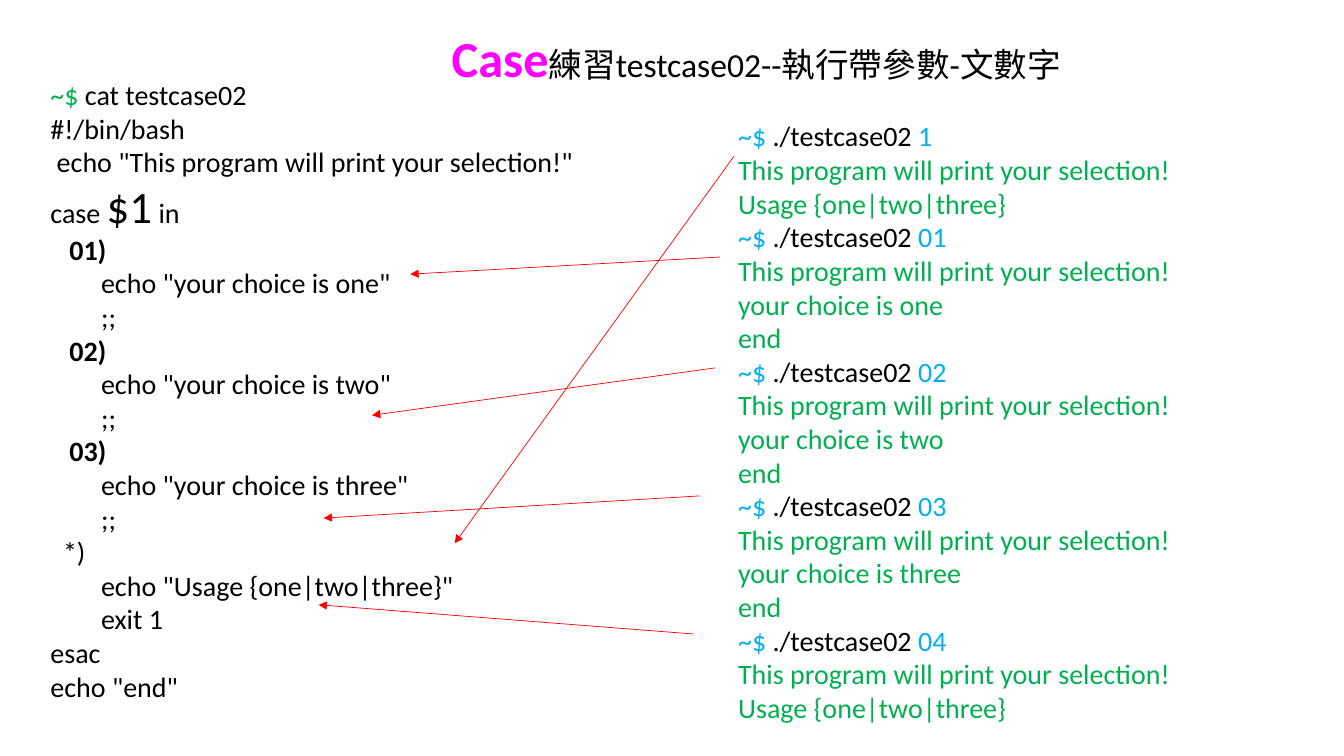
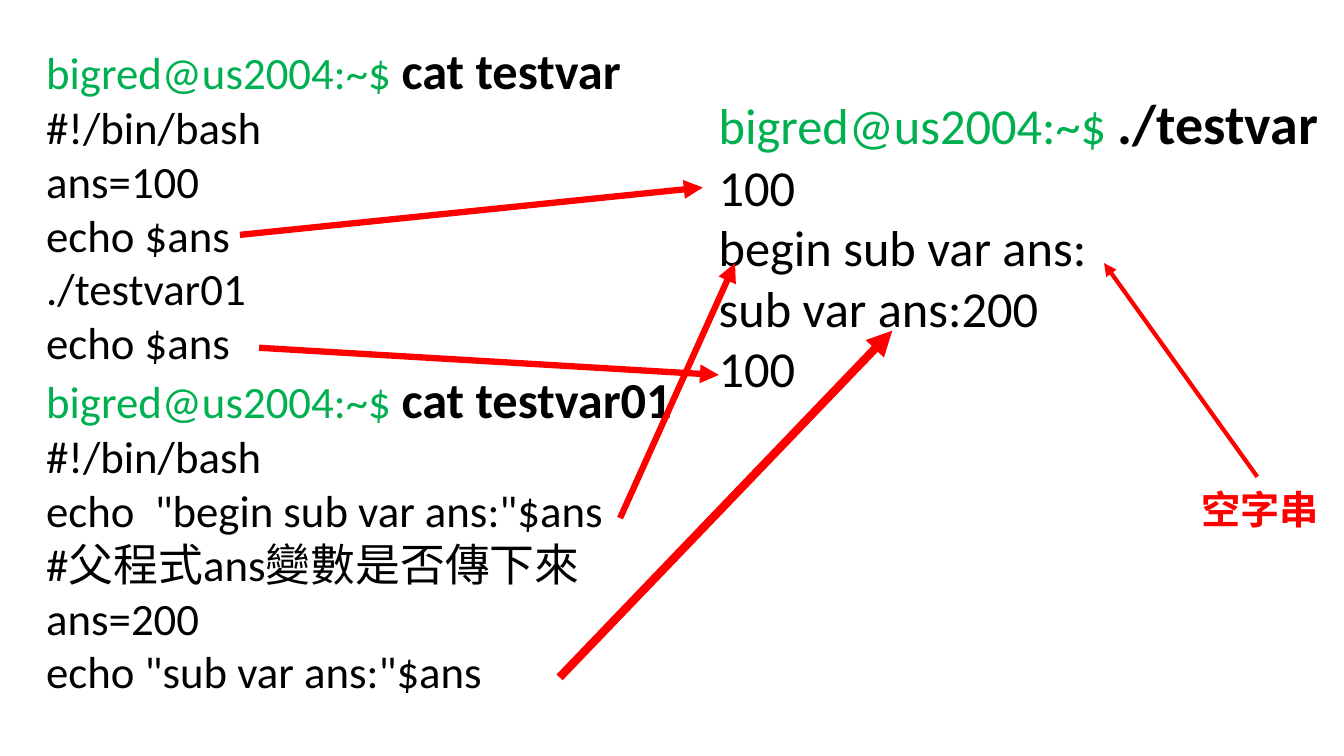
"""Build two slides about shell scripts: case arguments and variable scope."""
from dataclasses import dataclass
from typing import Optional

import lxml.etree
import pptx
import pptx.dml.color
import pptx.enum.shapes
import pptx.enum.text
import pptx.oxml
import pptx.oxml.ns
import pptx.presentation
import pptx.shapes.base
import pptx.slide
import pptx.text.text
import pptx.util

Inches = pptx.util.Inches


@dataclass(frozen=True)
class Theme:
    """Colours, font and type sizes shared by the slides."""
    font: str = "Calibri"
    black: str = "000000"
    green: str = "00B050"
    blue: str = "00B0F0"
    red: str = "FF0000"
    magenta: str = "FF00FF"
    title_size: int = 24
    title_accent_size: int = 36
    listing_size: int = 20
    argument_size: int = 32
    note_size: int = 28
    source_size: int = 32
    output_size: int = 36
    command_step: int = 4
    space_width: float = 0.0628  # inches, one space at listing size


THEME = Theme()


@dataclass(frozen=True)
class Span:
    """A stretch of text in one format; no size means the size of its box."""
    text: str
    color: str = THEME.black
    bold: bool = False
    size: Optional[int] = None


@dataclass(frozen=True)
class Line:
    """One paragraph, indented by a number of space widths."""
    spans: tuple[Span, ...]
    indent: int = 0


@dataclass(frozen=True)
class Box:
    """Place and look of a block of text."""
    left: float
    top: float
    width: float
    height: float
    size: int
    inset_x: float = 0.1
    inset_y: float = 0.05
    wrap: bool = True


@dataclass(frozen=True)
class Arrow:
    """A straight arrow between two points."""
    start: tuple[float, float]
    end: tuple[float, float]
    width: float


def plain(text: str, indent: int = 0, color: str = THEME.black, bold: bool = False) -> Line:
    """Return a line in a single format."""
    return Line((Span(text, color, bold),), indent)


def prompt(command: str, size: int) -> Line:
    """Return a shell prompt followed by a larger bold command."""
    return Line((Span("bigred@us2004:~$ ", THEME.green),
                 Span(command, bold=True, size=size + THEME.command_step)))


def case_branch(label: str, word: str) -> list[Line]:
    """Return the three lines of one branch of the case statement."""
    return [plain(f"{label})", 3, bold=True),
            plain(f'echo "your choice is {word}"', 8), plain(";;", 8)]


def test_run(argument: str, results: tuple[str, ...]) -> list[Line]:
    """Return a call of the script and what it prints."""
    call = Line((Span("~$", THEME.blue), Span(" ./testcase02 "), Span(argument, THEME.blue)))
    printed = ("This program will print your selection!",) + results
    return [call] + [plain(text, color=THEME.green) for text in printed]


def write_line(paragraph: pptx.text.text._Paragraph, line: Line, size: int) -> None:
    """Fill one paragraph with formatted runs."""
    paragraph.alignment = pptx.enum.text.PP_ALIGN.LEFT
    paragraph.line_spacing = 1.0
    paragraph.space_before = paragraph.space_after = pptx.util.Pt(0)
    if line.indent:
        margin = Inches(line.indent * THEME.space_width)
        paragraph._p.get_or_add_pPr().set("marL", str(int(margin)))
    for span in line.spans:
        run = paragraph.add_run()
        run.text = span.text
        run.font.name = THEME.font
        run.font.size = pptx.util.Pt(span.size or size)
        run.font.bold = span.bold
        run.font.color.rgb = pptx.dml.color.RGBColor.from_string(span.color)


def fill_box(shape: pptx.shapes.base.BaseShape, box: Box, lines: list[Line]) -> None:
    """Place a text shape and write its lines."""
    shape.left, shape.top = Inches(box.left), Inches(box.top)
    shape.width, shape.height = Inches(box.width), Inches(box.height)
    frame = shape.text_frame
    frame.word_wrap = box.wrap
    frame.auto_size = pptx.enum.text.MSO_AUTO_SIZE.SHAPE_TO_FIT_TEXT
    frame.vertical_anchor = pptx.enum.text.MSO_ANCHOR.TOP
    frame.margin_left = frame.margin_right = Inches(box.inset_x)
    frame.margin_top = frame.margin_bottom = Inches(box.inset_y)
    for index, line in enumerate(lines):
        paragraph = frame.add_paragraph() if index else frame.paragraphs[0]
        write_line(paragraph, line, box.size)


def add_text(slide: pptx.slide.Slide, box: Box, lines: list[Line]) -> None:
    """Add a text box with its lines."""
    shape = slide.shapes.add_textbox(0, 0, 0, 0)
    fill_box(shape, box, lines)


def add_arrow(slide: pptx.slide.Slide, arrow: Arrow) -> None:
    """Add a red arrow without shadow."""
    points = [Inches(value) for value in arrow.start + arrow.end]
    connector = slide.shapes.add_connector(pptx.enum.shapes.MSO_CONNECTOR.STRAIGHT, *points)
    connector.line.width = pptx.util.Pt(arrow.width)
    connector.line.color.rgb = pptx.dml.color.RGBColor.from_string(THEME.red)
    outline = connector.line._get_or_add_ln()
    lxml.etree.SubElement(outline, pptx.oxml.ns.qn("a:tailEnd"), type="triangle")
    lxml.etree.SubElement(connector._element.spPr, pptx.oxml.ns.qn("a:effectLst"))


def build_case_slide(presentation: pptx.presentation.Presentation) -> None:
    """Build the slide on a case statement with an argument."""
    slide = presentation.slides.add_slide(presentation.slide_layouts.get_by_name("Title Only"))
    title = Line((Span("Case", THEME.magenta, True, THEME.title_accent_size),
                  Span("練習testcase02--執行帶參數-文數字")))
    fill_box(slide.shapes.title, Box(4.38, 0.22, 6.87, 0.71, THEME.title_size), [title])

    choices = {"01": "one", "02": "two", "03": "three"}
    usage = "Usage {one|two|three}"
    script = [
        Line((Span("~$ ", THEME.green), Span("cat testcase02"))),
        plain("#!/bin/bash"),
        plain('echo "This program will print your selection!"', 1),
        Line((Span("case "), Span("$1", size=THEME.argument_size), Span(" in"))),
    ]
    runs = test_run("1", (usage,))
    for label, word in choices.items():
        script += case_branch(label, word)
        runs += test_run(label, (f"your choice is {word}", "end"))
    script += [plain("*)", 2), plain(f'echo "{usage}"', 8), plain("exit 1", 8),
               plain("esac"), plain('echo "end"')]
    runs += test_run("04", (usage,))

    size, inset = THEME.listing_size, 0.04
    add_text(slide, Box(0.46, 0.73, 5.74, 6.46, size, inset, inset), script)
    add_text(slide, Box(7.28, 1.14, 5.15, 6.13, size, inset, inset), runs)
    run_to_branch = [
        ((7.28, 1.55), (4.51, 5.39)),
        ((7.14, 2.55), (4.07, 2.72)),
        ((7.09, 3.65), (3.69, 4.12)),
        ((6.94, 4.92), (3.21, 5.14)),
        ((6.88, 6.29), (3.16, 6.0)),
    ]
    for start, end in run_to_branch:
        add_arrow(slide, Arrow(start, end, 0.5))


def build_variable_slide(presentation: pptx.presentation.Presentation) -> None:
    """Build the slide on variables in a parent and a child script."""
    slide = presentation.slides.add_slide(presentation.slide_layouts.get_by_name("Blank"))
    parent = ["#!/bin/bash", "ans=100", "echo $ans", "./testvar01", "echo $ans"]
    child = ["#!/bin/bash", 'echo  "begin sub var ans:"$ans', "#父程式ans變數是否傳下來",
             "ans=200", 'echo "sub var ans:"$ans']
    printed = ["100", "begin sub var ans:", "sub var ans:200", "100"]

    size = THEME.source_size
    sources = [prompt("cat testvar", size), *map(plain, parent),
               prompt("cat testvar01", size), *map(plain, child)]
    add_text(slide, Box(0.36, 0.34, 6.67, 6.7, size), sources)
    size = THEME.output_size
    add_text(slide, Box(7.03, 0.83, 6.67, 3.2, size),
             [prompt("./testvar", size), *map(plain, printed)])
    add_text(slide, Box(11.82, 4.77, 1.38, 0.57, THEME.note_size, wrap=False),
             [plain("空字串", color=THEME.red, bold=True)])
    arrows = [
        Arrow((12.47, 4.73), (10.95, 2.61), 3),
        Arrow((2.38, 2.33), (6.97, 1.86), 4.5),
        Arrow((6.15, 5.14), (7.29, 2.61), 4.5),
        Arrow((5.55, 6.72), (8.85, 3.28), 6),
        Arrow((2.57, 3.45), (7.13, 3.72), 4.5),
    ]
    for arrow in arrows:
        add_arrow(slide, arrow)


def main() -> None:
    """Build and save the presentation."""
    presentation = pptx.Presentation()
    presentation.slide_width = Inches(13.33)
    presentation.slide_height = Inches(7.5)
    build_case_slide(presentation)
    build_variable_slide(presentation)
    presentation.save("out.pptx")


main()
